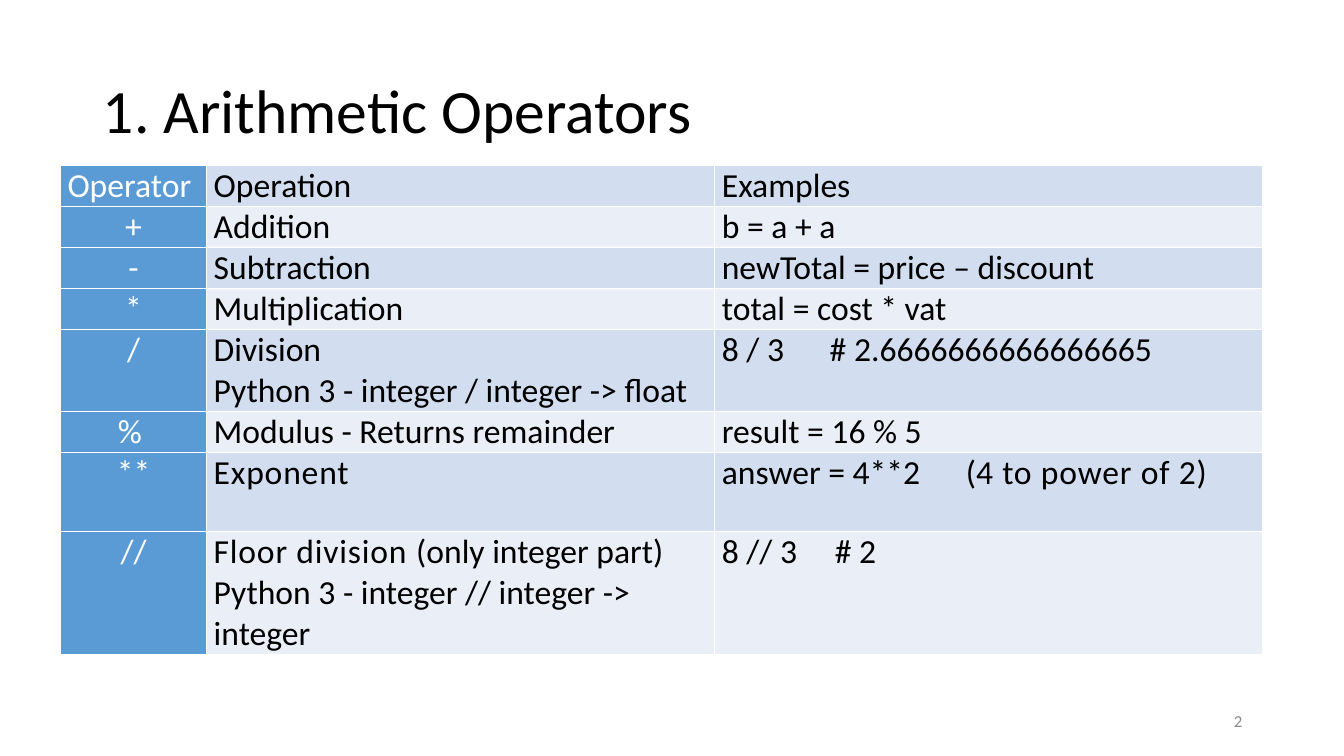
from dataclasses import dataclass

from lxml import etree
from pptx import Presentation
from pptx.dml.color import RGBColor
from pptx.enum.text import MSO_ANCHOR, MSO_AUTO_SIZE, PP_ALIGN
from pptx.oxml.ns import qn
from pptx.util import Inches, Pt

LEFT, CENTER, RIGHT = PP_ALIGN.LEFT, PP_ALIGN.CENTER, PP_ALIGN.RIGHT
TOP, MIDDLE = MSO_ANCHOR.TOP, MSO_ANCHOR.MIDDLE
NO_FIT = MSO_AUTO_SIZE.NONE
TITLE_ONLY = 5


@dataclass(frozen=True)
class Theme:
    font: str = "Calibri"
    title_size: int = 44
    table_size: int = 24
    number_size: int = 12
    ink: str = "000000"
    white: str = "FFFFFF"
    muted: str = "8C8C8C"
    accent: str = "5B9BD5"
    bands: tuple = ("D2DEEF", "EAEFF7")
    wide_spacing: int = 60


@dataclass(frozen=True)
class Line:
    spans: tuple
    tab: float = 0


THEME = Theme()
PAGE_WIDTH, PAGE_HEIGHT = 13.33, 7.5
TABLE_LEFT, TABLE_TOP = 0.6, 1.64
COLUMNS = (1.45, 5.04, 5.43)
LINE_HEIGHT = 0.39
CELL_INSET = 0.07


def plain(text):
    return text, False


def wide(text):
    return text, True


def line(*spans, tab=0):
    return Line(spans, tab)


def simple(text, tab=0):
    return line(plain(text), tab=tab)


ROWS = [
    (1, "Operator", [simple("Operation")], simple("Examples")),
    (1, "+", [simple("Addition")], simple("b = a + a")),
    (1, "-", [simple("Subtraction")], simple("newTotal = price – discount")),
    (1, "*", [simple("Multiplication")], simple("total = cost * vat")),
    (2, "/",
     [simple("Division"), simple("Python 3 - integer / integer -> float")],
     simple("8 / 3\t# 2.6666666666666665", tab=1.07)),
    (1, "% ", [simple("Modulus - Returns remainder")], simple("result = 16 % 5")),
    (2, "**", [line(wide("Exponent"))],
     line(plain("answer = 4**2\t("), wide("4 to power of 2)"), tab=2.42)),
    (3, "//",
     [line(wide("Floor division "), plain("(only integer part)")),
      simple("Python 3 - integer // integer -> integer")],
     simple("8 // 3\t# 2", tab=1.12)),
]


def add_span(para, text, size, color, spaced=False):
    span = para.add_run()
    span.text = text
    span.font.name = THEME.font
    span.font.size = Pt(size)
    span.font.bold = False
    span.font.color.rgb = RGBColor.from_string(color)
    if spaced:
        span._r.get_or_add_rPr().set("spc", str(THEME.wide_spacing))


def set_tab_stop(para, position):
    stops = etree.SubElement(para._p.get_or_add_pPr(), qn("a:tabLst"))
    etree.SubElement(stops, qn("a:tab"), pos=str(Inches(position)), algn="l")


def set_borders(cell):
    properties = cell._tc.get_or_add_tcPr()
    for index, side in enumerate(("lnL", "lnR", "lnT", "lnB")):
        border = etree.Element(qn(f"a:{side}"), w=str(Pt(1)))
        fill = etree.SubElement(border, qn("a:solidFill"))
        etree.SubElement(fill, qn("a:srgbClr"), val=THEME.white)
        properties.insert(index, border)


def fill_cell(cell, lines, fill, color, align=LEFT):
    cell.margin_left = cell.margin_right = Inches(CELL_INSET)
    cell.margin_top = cell.margin_bottom = 0
    cell.vertical_anchor = TOP
    cell.fill.solid()
    cell.fill.fore_color.rgb = RGBColor.from_string(fill)
    set_borders(cell)
    frame = cell.text_frame
    for index, content in enumerate(lines):
        para = frame.add_paragraph() if index else frame.paragraphs[0]
        para.alignment = align
        if content.tab:
            set_tab_stop(para, content.tab)
        for text, spaced in content.spans:
            add_span(para, text, THEME.table_size, color, spaced)


def add_title(page, text):
    title = page.shapes.title
    title.left, title.top = Inches(0.92), Inches(0.4)
    title.width, title.height = Inches(11.5), Inches(1.45)
    frame = title.text_frame
    frame.auto_size = NO_FIT
    frame.vertical_anchor = MIDDLE
    para = frame.paragraphs[0]
    para.alignment = LEFT
    para.line_spacing = 0.9
    add_span(para, text, THEME.title_size, THEME.ink)


def add_operator_table(page):
    height = LINE_HEIGHT * sum(row[0] for row in ROWS)
    frame = page.shapes.add_table(
        len(ROWS), len(COLUMNS), Inches(TABLE_LEFT), Inches(TABLE_TOP),
        Inches(sum(COLUMNS)), Inches(height))
    table = frame.table
    for column, width in zip(table.columns, COLUMNS):
        column.width = Inches(width)
    for index, (line_count, symbol, operation, example) in enumerate(ROWS):
        table.rows[index].height = Inches(LINE_HEIGHT * line_count)
        band = THEME.bands[index % 2]
        align = CENTER if index else LEFT
        fill_cell(table.cell(index, 0), [simple(symbol)], THEME.accent, THEME.white, align)
        fill_cell(table.cell(index, 1), operation, band, THEME.ink)
        fill_cell(table.cell(index, 2), [example], band, THEME.ink)


def add_page_number(page, number):
    box = page.shapes.add_textbox(Inches(9.42), Inches(6.95), Inches(3), Inches(0.4))
    frame = box.text_frame
    frame.word_wrap = True
    frame.vertical_anchor = MIDDLE
    para = frame.paragraphs[0]
    para.alignment = RIGHT
    add_span(para, number, THEME.number_size, THEME.muted)


def main():
    deck = Presentation()
    deck.slide_width, deck.slide_height = Inches(PAGE_WIDTH), Inches(PAGE_HEIGHT)
    page = deck.slides.add_slide(deck.slide_layouts[TITLE_ONLY])
    add_title(page, "1. Arithmetic Operators")
    add_operator_table(page)
    add_page_number(page, "2")
    deck.save("out.pptx")


if __name__ == "__main__":
    main()
